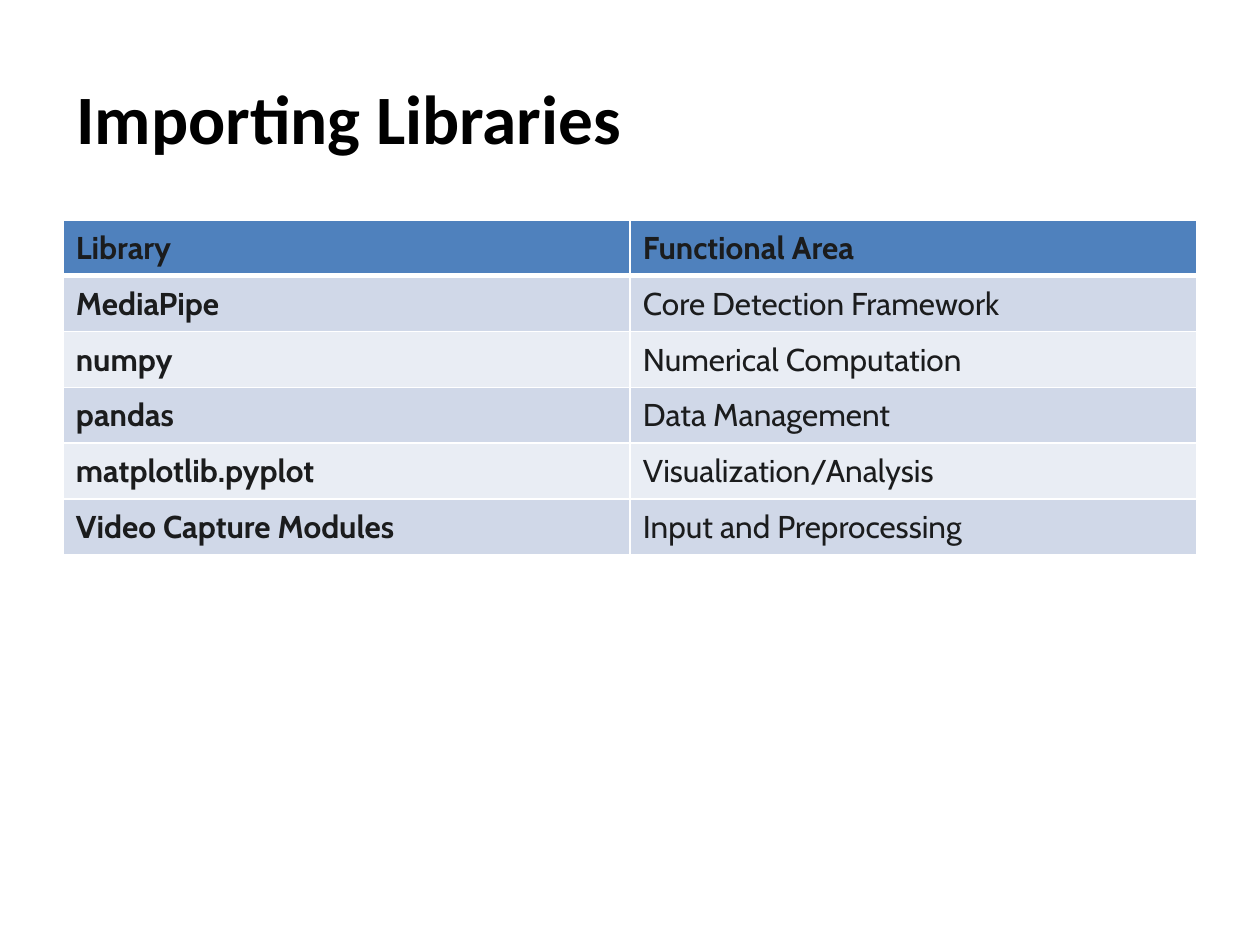
import pptx
import pptx.util
import pptx.dml.color
import pptx.enum.text
import pptx.oxml
import pptx.oxml.ns

TITLE = "Importing Libraries"
LIBRARIES = [
    ("Library", "Functional Area"),
    ("MediaPipe", "Core Detection Framework"),
    ("numpy", "Numerical Computation"),
    ("pandas", "Data Management"),
    ("matplotlib.pyplot", "Visualization/Analysis"),
    ("Video Capture Modules", "Input and Preprocessing"),
]
COLORS = {
    "title": "000000",
    "text": "1B1C1D",
    "header": "4F81BD",
    "odd": "D0D8E8",
    "even": "E9EDF4",
    "border": "FFFFFF",
}
COLUMN_WIDTH, ROW_HEIGHT = 567, 55


def px(length):
    return pptx.util.Emu(round(length * 914400 / 126))


def color(name):
    return pptx.dml.color.RGBColor.from_string(COLORS[name])


def add_span(para, text, font, size, name, bold):
    span = para.add_run()
    span.text = text
    span.font.name = font
    span.font.size = pptx.util.Pt(size)
    span.font.bold = bold
    span.font.color.rgb = color(name)


def add_borders(cell, bottom_width, top_width):
    properties = cell._tc.get_or_add_tcPr()
    widths = {"lnL": 1, "lnR": 1, "lnT": top_width, "lnB": bottom_width}
    for index, (side, width) in enumerate(widths.items()):
        line = pptx.oxml.parse_xml(
            f'<a:{side} {pptx.oxml.ns.nsdecls("a")} w="{pptx.util.Pt(width)}">'
            f'<a:solidFill><a:srgbClr val="{COLORS["border"]}"/></a:solidFill>'
            f"</a:{side}>"
        )
        properties.insert(index, line)


def add_title(page):
    box = page.shapes.add_textbox(px(64), px(75), px(1134), px(113))
    frame = box.text_frame
    frame.word_wrap = True
    frame.margin_top = 0
    frame.vertical_anchor = pptx.enum.text.MSO_ANCHOR.TOP
    add_span(frame.paragraphs[0], TITLE, "Calibri", 39.6, "title", True)


def add_library_table(page):
    rows, columns = len(LIBRARIES), len(LIBRARIES[0])
    table = page.shapes.add_table(
        rows, columns, px(63), px(220), px(columns * COLUMN_WIDTH), px(rows * ROW_HEIGHT)
    ).table
    for r, entries in enumerate(LIBRARIES):
        for c, text in enumerate(entries):
            cell = table.cell(r, c)
            cell.margin_left = cell.margin_right = px(13)
            cell.margin_top = cell.margin_bottom = px(9)
            cell.vertical_anchor = pptx.enum.text.MSO_ANCHOR.MIDDLE
            cell.fill.solid()
            cell.fill.fore_color.rgb = color("header" if r == 0 else "odd" if r % 2 else "even")
            add_borders(cell, 3 if r == 0 else 1, 3 if r == 1 else 1)
            add_span(cell.text_frame.paragraphs[0], text, "Cabin", 18, "text", r == 0 or c == 0)


def main():
    deck = pptx.Presentation()
    deck.slide_width, deck.slide_height = px(1260), px(945)
    page = deck.slides.add_slide(deck.slide_layouts[6])
    add_title(page)
    add_library_table(page)
    deck.save("out.pptx")


if __name__ == "__main__":
    main()
